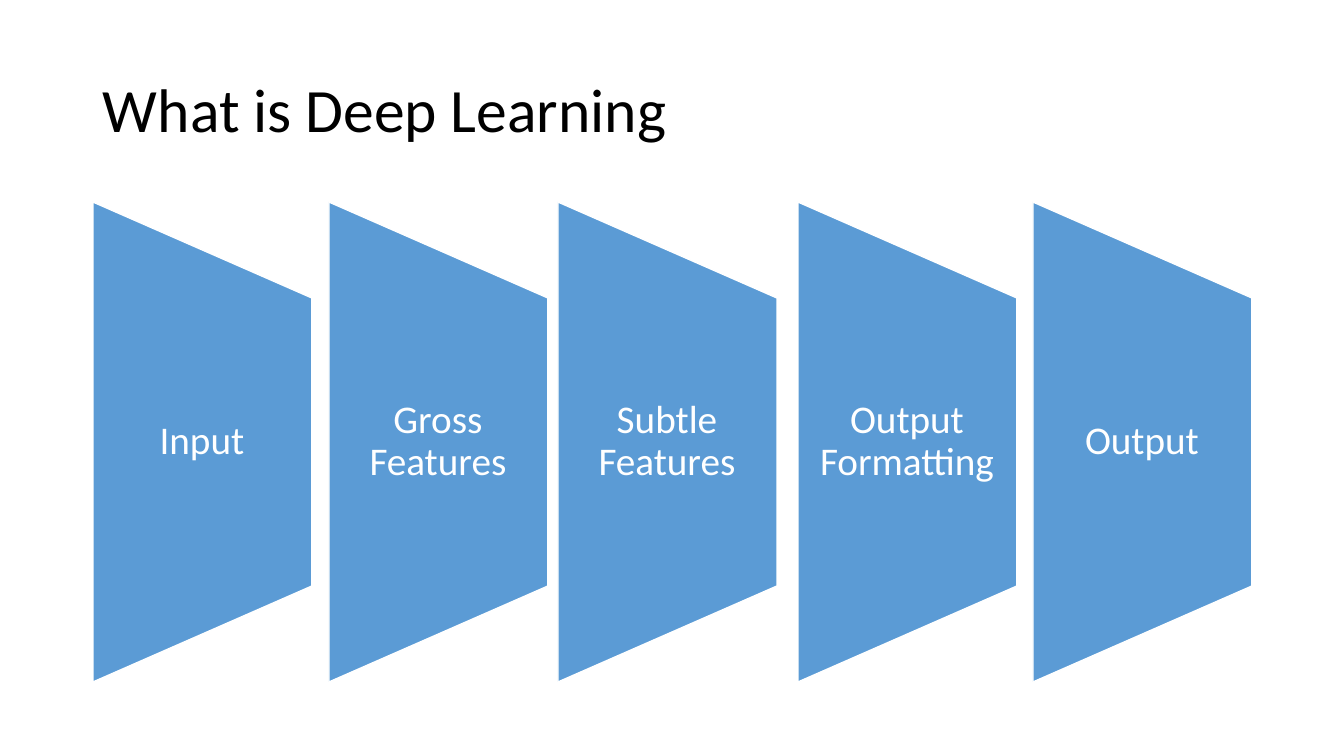
from pptx import Presentation
from pptx.dml.color import RGBColor
from pptx.enum.shapes import MSO_SHAPE as Shape
from pptx.enum.text import MSO_ANCHOR as Anchor, MSO_AUTO_SIZE as AutoSize, PP_ALIGN as Align
from pptx.util import Pt

TITLE = "What is Deep Learning"
STAGES = [
    ("Input", 93),
    ("Gross Features", 329),
    ("Subtle Features", 558),
    ("Output Formatting", 798),
    ("Output", 1033),
]
SLIDE_SIZE = (1344, 756)
TITLE_BOX = (93, 40, 1159, 146)
STAGE_TOP, STAGE_WIDTH, STAGE_HEIGHT = 202, 219, 480
LABEL_HEIGHT = 288
BLUE, WHITE, BLACK = "5B9BD5", "FFFFFF", "000000"
SCALE = 914400 / 100.8


def px(length):
    return round(length * SCALE)


def color(code):
    return RGBColor.from_string(code)


def set_all(target, values):
    for name, value in values.items():
        setattr(target, name, value)


def write(box, text, size, code, align, margins):
    frame = box.text_frame
    frame.text = text
    set_all(frame, {"word_wrap": True, "auto_size": AutoSize.NONE,
                    "vertical_anchor": Anchor.MIDDLE})
    set_all(frame, {f"margin_{side}": px(length) for side, length in margins.items()})
    para = frame.paragraphs[0]
    set_all(para, {"alignment": align, "line_spacing": 0.9})
    span = para.runs[0]
    set_all(span.font, {"name": "Calibri", "size": Pt(size)})
    span.font.color.rgb = color(code)


def add_stage(page, text, left):
    shift = (STAGE_HEIGHT - STAGE_WIDTH) / 2
    funnel = page.shapes.add_shape(
        Shape.FLOWCHART_MANUAL_OPERATION,
        px(left - shift), px(STAGE_TOP + shift), px(STAGE_HEIGHT), px(STAGE_WIDTH))
    funnel.rotation = 270
    funnel.shadow.inherit = False
    funnel.fill.solid()
    funnel.fill.fore_color.rgb = color(BLUE)
    funnel.line.color.rgb = color(WHITE)
    funnel.line.width = Pt(1)
    label_top = STAGE_TOP + (STAGE_HEIGHT - LABEL_HEIGHT) / 2
    label = page.shapes.add_textbox(
        px(left), px(label_top), px(STAGE_WIDTH), px(LABEL_HEIGHT))
    write(label, text, 28, WHITE, Align.CENTER,
          {"left": 19, "top": 0, "right": 20, "bottom": 0})


def main():
    deck = Presentation()
    deck.slide_width, deck.slide_height = map(px, SLIDE_SIZE)
    page = deck.slides.add_slide(deck.slide_layouts[5])
    title = page.shapes.title
    set_all(title, dict(zip(("left", "top", "width", "height"), map(px, TITLE_BOX))))
    write(title, TITLE, 44, BLACK, Align.LEFT,
          {"left": 10, "top": 5, "right": 10, "bottom": 5})
    for text, left in STAGES:
        add_stage(page, text, left)
    deck.save("out.pptx")


if __name__ == "__main__":
    main()
